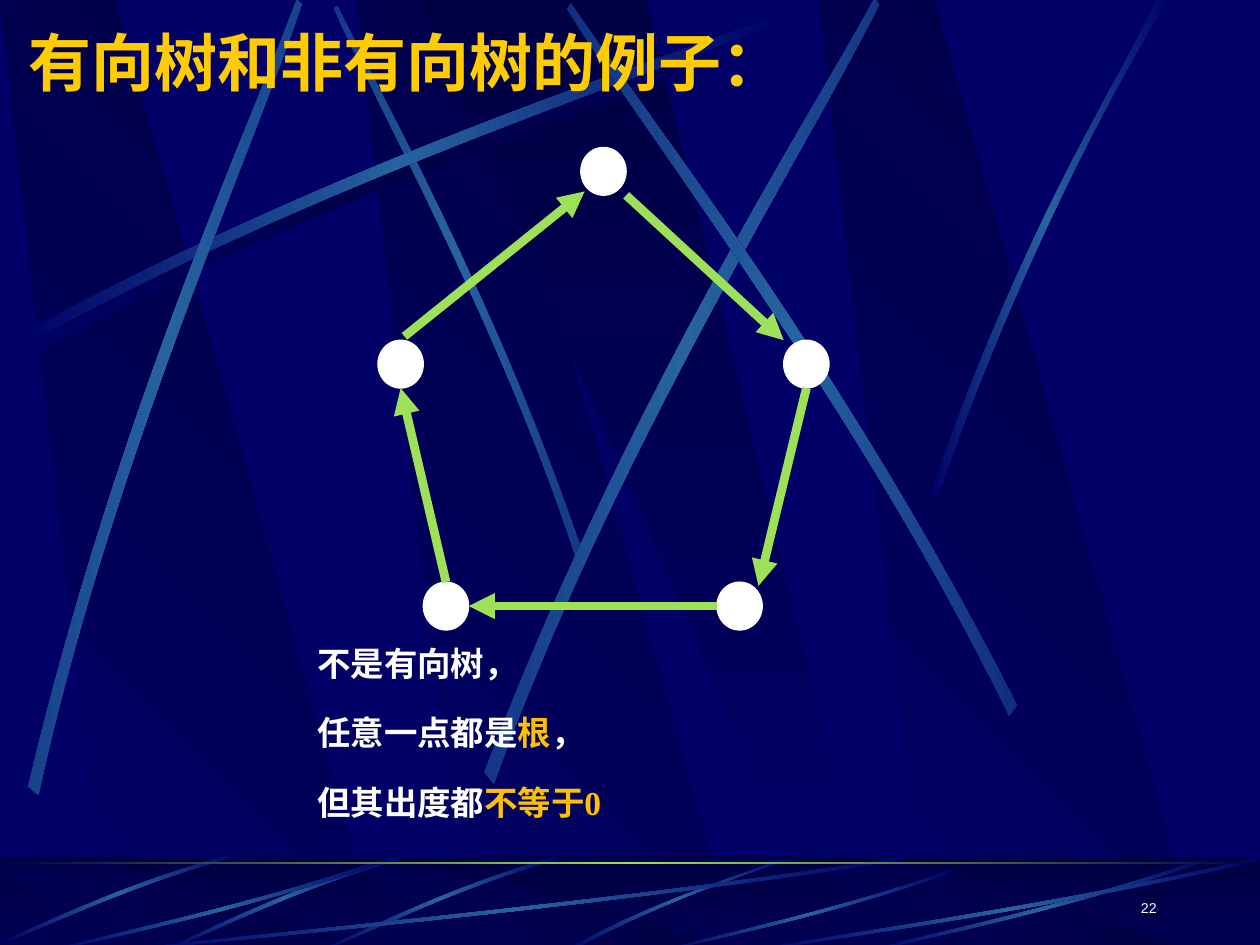
from lxml import etree
from pptx import Presentation
from pptx import util as u
from pptx.dml.color import RGBColor
from pptx.enum import shapes, text
from pptx.oxml import parse_xml
from pptx.oxml.ns import nsdecls, qn

COLORS = {
    "navy": "000066", "deep": "000044", "beam": "2663A0", "lime": "9CE157",
    "white": "FFFFFF", "title": "FFCC00", "accent": "FFC000",
}
PANEL_FADE = ["navy", "deep"]
BEAM_FADE = ["deep", "navy"]
SHADE = ["navy", "deep", "navy"]
GLOW = ["navy", "beam", "navy"]
RULE = ["deep", "lime", "deep"]

STREAK = [(0, 0.96), (0.43, 0.43), (0.83, 0.15), (1, 0),
          (1, 0.02), (0.83, 0.19), (0.39, 0.5), (0, 1)]
CUT_STREAK = [(0, 0.99), (0.4, 0.44), (0.79, 0.17), (0.95, 0),
              (1, 0), (0.52, 0.37), (0.16, 0.81), (0.03, 1)]


def rgb(name):
    return RGBColor.from_string(COLORS[name])


def bend_edges(shape):
    segments = list(shape.element.iter(qn("a:lnTo")))
    for controls in (segments[0:3], segments[4:7]):
        curve = etree.Element(qn("a:cubicBezTo"))
        controls[0].addprevious(curve)
        for control in controls:
            curve.append(control[0])
            control.getparent().remove(control)


def write_run(paragraph, words, size=18, color="white", font="Arial", bold=False, raised=0):
    run = paragraph.add_run()
    run.text = words
    run.font.size = u.Pt(size)
    run.font.name = font
    run.font.bold = bold
    run.font.color.rgb = rgb(color)
    if raised:
        run._r.get_or_add_rPr().set("baseline", str(raised * 1000))


class SlidePainter:
    def __init__(self, slide):
        self.slide = slide
        self.canvas = slide.shapes

    def start_group(self):
        group = self.slide.shapes.add_group_shape()
        self.canvas = group.shapes
        return group

    def end_group(self):
        self.canvas = self.slide.shapes

    def gradient(self, shape, names, angle):
        stops = "".join(
            f'<a:gs pos="{100000 * i // (len(names) - 1)}"><a:srgbClr val="{COLORS[n]}"/></a:gs>'
            for i, n in enumerate(names))
        fill = parse_xml(
            f'<a:gradFill {nsdecls("a")} rotWithShape="0"><a:gsLst>{stops}</a:gsLst>'
            f'<a:lin ang="{angle * 60000}" scaled="1"/></a:gradFill>')
        shape.shadow.inherit = False
        shape.line.fill.background()
        properties = shape.element.spPr
        geometry = [e for e in properties if e.tag in (qn("a:custGeom"), qn("a:prstGeom"))][0]
        geometry.addnext(fill)

    def outline(self, points, names, angle):
        corners = [(u.Inches(x), u.Inches(y)) for x, y in points]
        builder = self.canvas.build_freeform(*corners[0], scale=1.0)
        builder.add_line_segments(corners[1:], close=True)
        shape = builder.convert_to_shape()
        self.gradient(shape, names, angle)
        return shape

    def panels(self, top, bottom):
        for x in (2.83, 0, 6.5):
            corners = [(x + 0.86, bottom), (x + 3.02, bottom), (x + 0.91, top), (x, top)]
            self.outline(corners, PANEL_FADE, 315)
        self.outline([(3.33, top), (6.58, bottom), (6.94, bottom), (5.13, top)], BEAM_FADE, 90)

    def streak(self, box, rotation=0, flip_x=False, flip_y=False, names=GLOW, edges=STREAK):
        left, top, width, height = box
        points = [
            (left + width * (1 - x if flip_x else x), top + height * (1 - y if flip_y else y))
            for x, y in edges]
        shape = self.outline(points, names, 0)
        bend_edges(shape)
        shape.rotation = rotation

    def preset(self, kind, box):
        shape = self.canvas.add_shape(kind, *map(u.Inches, box))
        shape.shadow.inherit = False
        return shape

    def band(self, box, names, angle):
        self.gradient(self.preset(shapes.MSO_SHAPE.RECTANGLE, box), names, angle)

    def veil(self, box, color, opacity):
        shape = self.preset(shapes.MSO_SHAPE.RECTANGLE, box)
        shape.line.fill.background()
        shape.fill.solid()
        shape.fill.fore_color.rgb = rgb(color)
        tint = shape.element.spPr.find(qn("a:solidFill"))[0]
        etree.SubElement(tint, qn("a:alpha")).set("val", str(opacity * 1000))

    def node(self, left, top):
        shape = self.preset(shapes.MSO_SHAPE.OVAL, (left, top, 0.36, 0.38))
        shape.fill.solid()
        shape.fill.fore_color.rgb = rgb("white")
        shape.line.color.rgb = rgb("white")
        shape.line.width = u.Pt(0.75)

    def arrow(self, start, end):
        edge = self.canvas.add_connector(
            shapes.MSO_CONNECTOR.STRAIGHT, *map(u.Inches, start + end))
        edge.line.color.rgb = rgb("lime")
        edge.line.width = u.Pt(5)
        etree.SubElement(edge.line._get_or_add_ln(), qn("a:tailEnd")).set("type", "triangle")
        etree.SubElement(edge.element.spPr, qn("a:effectLst"))

    def label(self, box, lines, align=text.PP_ALIGN.LEFT, anchor=text.MSO_ANCHOR.TOP,
              fit=text.MSO_AUTO_SIZE.NONE, **style):
        frame = self.canvas.add_textbox(*map(u.Inches, box)).text_frame
        frame.word_wrap = True
        frame.auto_size = fit
        frame.vertical_anchor = anchor
        for i, line in enumerate(lines):
            paragraph = frame.add_paragraph() if i else frame.paragraphs[0]
            paragraph.alignment = align
            for words, color in line:
                write_run(paragraph, words, color=color, **style)

    def title(self, box, words, **style):
        heading = self.slide.shapes.title
        heading.left, heading.top, heading.width, heading.height = map(u.Inches, box)
        frame = heading.text_frame
        frame.word_wrap = True
        frame.auto_size = text.MSO_AUTO_SIZE.SHAPE_TO_FIT_TEXT
        frame.vertical_anchor = text.MSO_ANCHOR.MIDDLE
        frame.paragraphs[0].alignment = text.PP_ALIGN.LEFT
        write_run(frame.paragraphs[0], words, **style)
        heading.element.getparent().append(heading.element)


def paint_master(painter, master):
    master.background.fill.solid()
    master.background.fill.fore_color.rgb = rgb("navy")
    backdrop = painter.start_group()
    painter.panels(0, 7.52)
    painter.streak((0.2, 0.18, 6.08, 2.67), names=SHADE)
    painter.streak((1.41, 1.35, 4.42, 1.75), 45, flip_x=True)
    painter.streak((0.14, 0.1, 6.08, 2.67))
    painter.streak((-1.71, 1.82, 6.08, 2.67), 311.7)
    painter.streak((2.31, 1.6, 6.24, 3.01), 321.6)
    painter.streak((3.23, 1.52, 6.08, 2.67), 34.7, flip_x=True)
    painter.streak((7.38, 0, 1.89, 3.97), edges=CUT_STREAK)

    footer = (0, 6.8, 10, 0.75)
    painter.band(footer, BEAM_FADE, 90)
    painter.panels(6.88, 7.55)
    painter.veil(footer, "deep", 50)
    painter.streak((4.48, 6.82, 1.8, 0.73), edges=CUT_STREAK)
    for box in ((2.58, 6.76, 1.84, 0.83), (1.33, 6.76, 1.84, 0.83), (0.05, 6.71, 1.8, 0.85)):
        painter.streak(box, 315, flip_x=True)
    for left, top, width in ((1, 6.8, 6.17), (0.42, 6.8, 2.67), (5.27, 6.89, 2.31),
                             (6.92, 6.8, 2.67), (6, 6.8, 4)):
        painter.streak((left, top, width, 7.55 - top), flip_x=True, flip_y=True)
    painter.band((0, 6.84, 10, 0.02), RULE, 0)
    master.shapes.element.insert(2, backdrop.element)


def main():
    deck = Presentation()
    deck.slide_width, deck.slide_height = u.Inches(10), u.Inches(7.5)
    painter = SlidePainter(deck.slides.add_slide(deck.slide_layouts[5]))
    paint_master(painter, deck.slide_master)

    painter.start_group()
    for left, top in ((4.61, 1.17), (3, 2.7), (6.22, 2.7), (3.36, 4.62), (5.69, 4.62)):
        painter.node(left, top)
    for start, end in (((3.54, 4.62), (3.18, 3.08)), ((3.21, 2.67), (4.64, 1.52)),
                       ((4.97, 1.55), (6.22, 2.7)), ((6.4, 3.08), (6.02, 4.65)),
                       ((5.69, 4.81), (3.72, 4.81))):
        painter.arrow(start, end)
    remarks = [
        [("不是有向树，", "white")],
        [("任意一点都是", "white"), ("根", "accent"), ("，", "white")],
        [("但其出度都", "white"), ("不等于0", "accent")],
    ]
    painter.label((2.42, 5, 5.17, 1.77), remarks, fit=text.MSO_AUTO_SIZE.SHAPE_TO_FIT_TEXT,
                  size=33, font="Times New Roman", bold=True, raised=30)
    painter.end_group()

    painter.title((0.13, 0.13, 8.5, 0.71), "有向树和非有向树的例子：",
                  size=36, color="title", font="Montserrat", bold=True)
    painter.label((7.2, 6.9, 2.08, 0.5), [[("22", "white")]], align=text.PP_ALIGN.RIGHT,
                  anchor=text.MSO_ANCHOR.BOTTOM, size=14, raised=30)
    deck.save("out.pptx")


if __name__ == "__main__":
    main()
